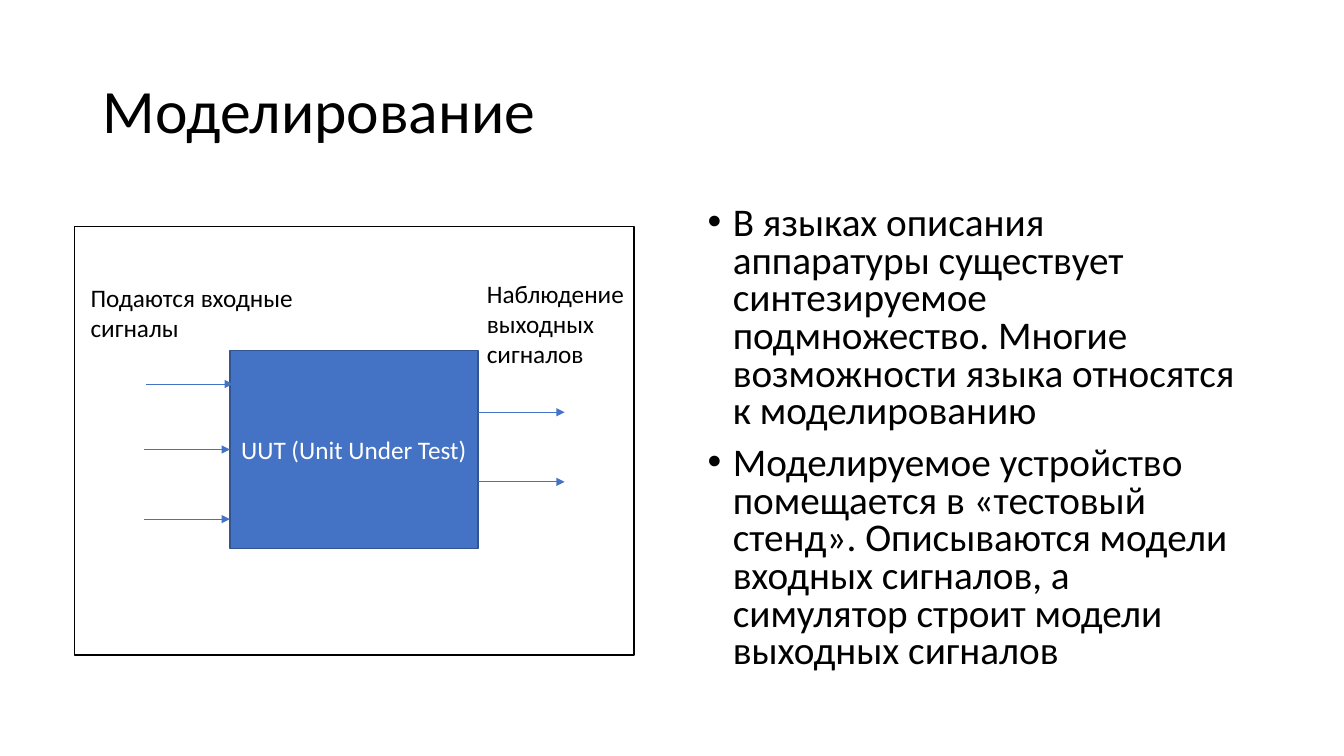
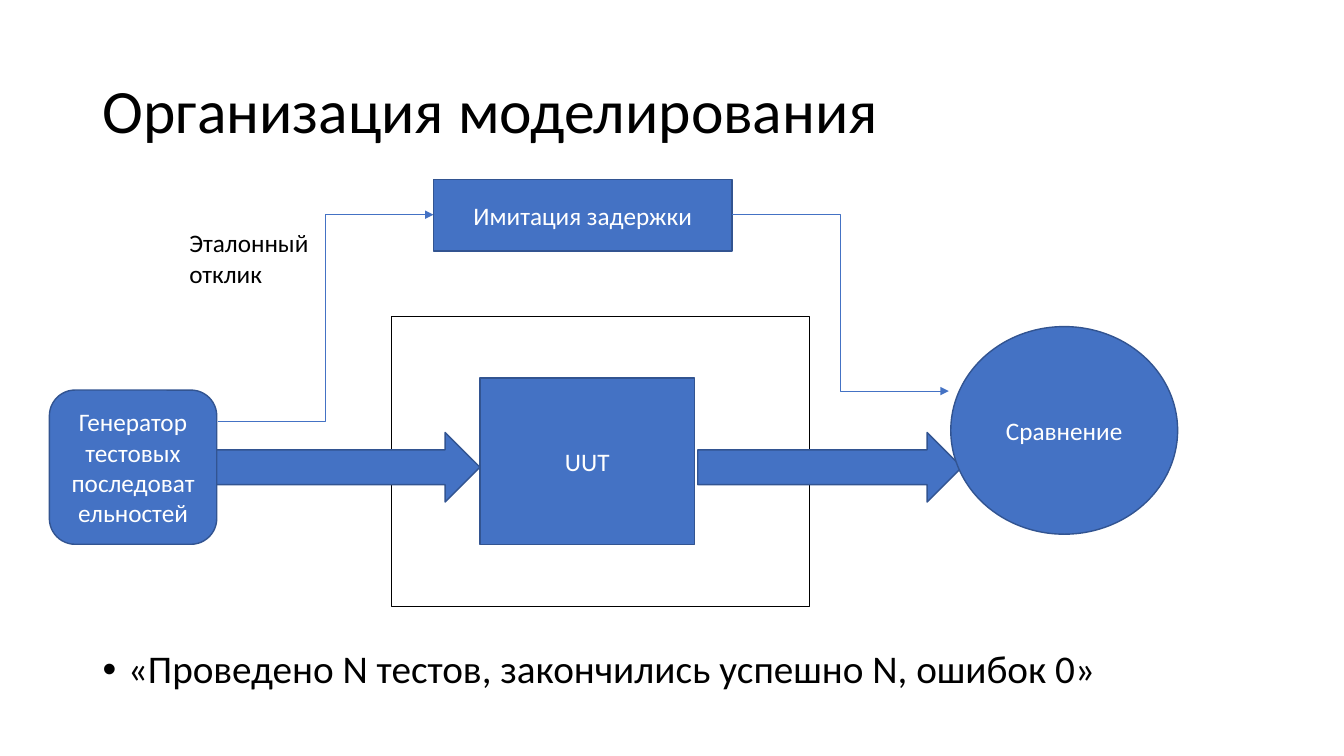
from dataclasses import dataclass
from typing import Optional

from lxml import etree
from pptx import Presentation
from pptx.dml.color import RGBColor
from pptx.enum import shapes as kinds, text as txt
from pptx.oxml import ns
from pptx.util import Inches, Pt

FONT = "Calibri"
BLACK = RGBColor(0x00, 0x00, 0x00)
WHITE = RGBColor(0xFF, 0xFF, 0xFF)
BLUE = RGBColor(0x44, 0x72, 0xC4)
DARK_BLUE = RGBColor(0x32, 0x54, 0x91)

TITLE_ONLY = 5
TITLE_SIZE, BODY_SIZE, LABEL_SIZE = 44, 28, 18
BULLET_INDENT = 0.25

Shape = kinds.MSO_SHAPE
Connector = kinds.MSO_CONNECTOR
LEFT_SIDE = 1


@dataclass(frozen=True)
class Area:
    left: float
    top: float
    width: float
    height: float

    def lengths(self) -> tuple:
        return tuple(Inches(v) for v in (self.left, self.top, self.width, self.height))


@dataclass(frozen=True)
class Block:
    area: Area
    label: str = ""
    outline: kinds.MSO_SHAPE = Shape.RECTANGLE
    filled: bool = True


@dataclass(frozen=True)
class Signal:
    start: tuple[float, float]
    end: tuple[float, float]
    route: kinds.MSO_CONNECTOR = Connector.STRAIGHT


@dataclass(frozen=True)
class Caption:
    area: Area
    label: str


TITLE_AREA = Area(0.92, 0.4, 11.5, 1.45)


def format_runs(paragraph, size: float, color: RGBColor) -> None:
    for run in paragraph.runs:
        run.font.name = FONT
        run.font.size = Pt(size)
        run.font.color.rgb = color


def add_titled_slide(prs, title: str):
    slide = prs.slides.add_slide(prs.slide_layouts[TITLE_ONLY])
    heading = slide.shapes.title
    heading.left, heading.top, heading.width, heading.height = TITLE_AREA.lengths()
    frame = heading.text_frame
    frame.text = title
    frame.vertical_anchor = txt.MSO_ANCHOR.MIDDLE
    frame.auto_size = txt.MSO_AUTO_SIZE.NONE
    paragraph = frame.paragraphs[0]
    paragraph.alignment = txt.PP_ALIGN.LEFT
    paragraph.line_spacing = 0.9
    format_runs(paragraph, TITLE_SIZE, BLACK)
    return slide


def add_bullets(slide, area: Area, items: list[str], line_spacing: float) -> None:
    frame = slide.shapes.add_textbox(*area.lengths()).text_frame
    frame.word_wrap = True
    frame.text = "\n".join(items)
    for paragraph in frame.paragraphs:
        paragraph.line_spacing = line_spacing
        paragraph.space_before = Pt(10)
        format_runs(paragraph, BODY_SIZE, BLACK)
        props = paragraph._p.get_or_add_pPr()
        props.set("marL", str(Inches(BULLET_INDENT)))
        props.set("indent", str(-Inches(BULLET_INDENT)))
        etree.SubElement(props, ns.qn("a:buFont")).set("typeface", "Arial")
        etree.SubElement(props, ns.qn("a:buChar")).set("char", "•")


def add_block(slide, block: Block):
    """Draw a filled blue block, or an empty black frame."""
    shape = slide.shapes.add_shape(block.outline, *block.area.lengths())
    shape.shadow.inherit = False
    shape.line.width = Pt(1)
    if block.filled:
        shape.fill.solid()
        shape.fill.fore_color.rgb = BLUE
        shape.line.color.rgb = DARK_BLUE
    else:
        shape.fill.background()
        shape.line.color.rgb = BLACK
    if block.label:
        frame = shape.text_frame
        frame.text = block.label
        frame.word_wrap = True
        frame.vertical_anchor = txt.MSO_ANCHOR.MIDDLE
        frame.paragraphs[0].alignment = txt.PP_ALIGN.CENTER
        format_runs(frame.paragraphs[0], LABEL_SIZE, WHITE)
    return shape


def add_signal(slide, signal: Signal):
    """Draw a thin blue connector with an arrowhead at its end."""
    ends = [Inches(v) for v in (*signal.start, *signal.end)]
    connector = slide.shapes.add_connector(signal.route, *ends)
    connector.line.color.rgb = BLUE
    connector.line.width = Pt(0.5)
    line = connector.line._get_or_add_ln()
    etree.SubElement(line, ns.qn("a:tailEnd")).set("type", "triangle")
    etree.SubElement(connector._element.spPr, ns.qn("a:effectLst"))
    return connector


def add_caption(slide, caption: Caption) -> None:
    frame = slide.shapes.add_textbox(*caption.area.lengths()).text_frame
    frame.word_wrap = True
    frame.auto_size = txt.MSO_AUTO_SIZE.SHAPE_TO_FIT_TEXT
    frame.text = caption.label
    format_runs(frame.paragraphs[0], LABEL_SIZE, BLACK)


def build_modelling(prs) -> None:
    slide = add_titled_slide(prs, "Моделирование")
    add_bullets(slide, Area(6.92, 2, 5.5, 4.76), [
        "В языках описания аппаратуры существует синтезируемое подмножество. "
        "Многие возможности языка относятся к моделированию",
        "Моделируемое устройство помещается в «тестовый стенд». Описываются модели "
        "входных сигналов, а симулятор строит модели выходных сигналов",
    ], line_spacing=0.8)

    add_block(slide, Block(Area(0.74, 2.25, 5.55, 4.25), filled=False))
    unit = add_block(slide, Block(Area(2.28, 3.48, 2.46, 1.96), "UUT (Unit Under Test)"))

    add_signal(slide, Signal((1.45, 3.81), (2.31, 3.81)))
    middle_input = add_signal(slide, Signal((1.43, 4.46), (2.28, 4.46)))
    middle_input.end_connect(unit, LEFT_SIDE)
    add_signal(slide, Signal((1.43, 5.15), (2.28, 5.15)))
    for output_y in (4.09, 4.78):
        add_signal(slide, Signal((4.74, output_y), (5.6, output_y)))

    add_caption(slide, Caption(Area(0.8, 2.75, 2.25, 0.71), "Подаются входные сигналы"))
    add_caption(slide, Caption(Area(4.73, 2.71, 1.69, 1.01), "Наблюдение выходных сигналов"))


def build_organisation(prs) -> None:
    slide = add_titled_slide(prs, "Организация моделирования")
    add_bullets(slide, Area(0.92, 6.4, 11.5, 0.79),
                ["«Проведено N тестов, закончились успешно N, ошибок 0»"], line_spacing=0.9)

    add_block(slide, Block(Area(4.76, 3.75, 2.13, 1.65), "UUT"))
    add_block(slide, Block(Area(3.88, 3.14, 4.15, 2.88), filled=False))
    for flow_left in (2.14, 6.92):
        add_block(slide, Block(Area(flow_left, 4.29, 2.62, 0.69), outline=Shape.RIGHT_ARROW))
    add_block(slide, Block(Area(0.49, 3.87, 1.66, 1.53), "Генератор тестовых последовательностей",
                           Shape.ROUNDED_RECTANGLE))
    add_signal(slide, Signal((2.16, 4.18), (4.3, 2.13), Connector.ELBOW))
    add_block(slide, Block(Area(4.3, 1.78, 2.96, 0.71), "Имитация задержки"))
    add_caption(slide, Caption(Area(1.78, 2.21, 1.6, 0.71), "Эталонный отклик"))
    add_signal(slide, Signal((7.26, 2.13), (9.41, 3.88), Connector.ELBOW))
    add_block(slide, Block(Area(9.43, 3.24, 2.25, 2.06), "Сравнение", Shape.OVAL))


def main() -> None:
    prs: Optional[object] = Presentation()
    prs.slide_width, prs.slide_height = Inches(13.33), Inches(7.5)
    build_modelling(prs)
    build_organisation(prs)
    prs.save("out.pptx")


if __name__ == "__main__":
    main()
